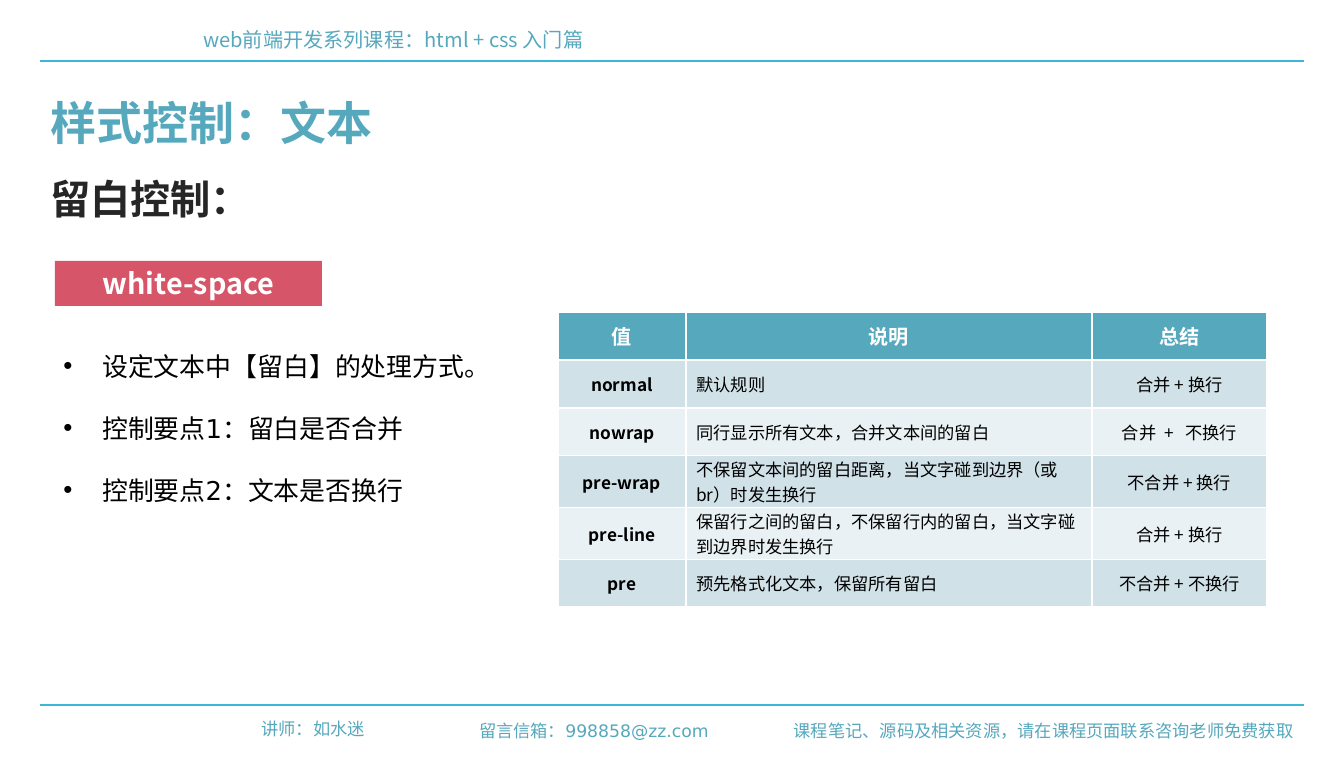
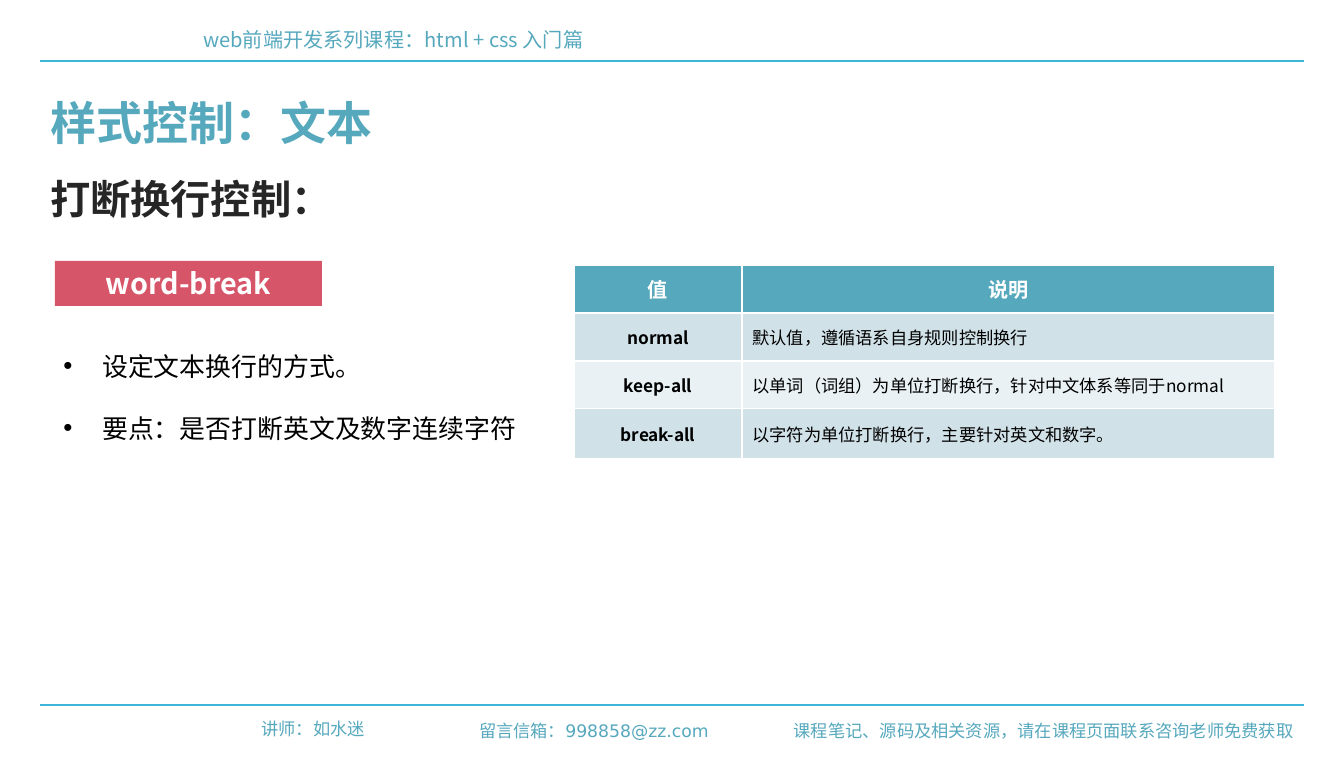
from pptx import Presentation
from pptx.dml.color import RGBColor
from pptx.enum.shapes import MSO_CONNECTOR, MSO_SHAPE
from pptx.enum.text import MSO_ANCHOR, MSO_AUTO_SIZE, PP_ALIGN
from pptx.oxml.ns import qn
from pptx.util import Pt
from lxml import etree

LEFT, CENTER, RIGHT = PP_ALIGN.LEFT, PP_ALIGN.CENTER, PP_ALIGN.RIGHT
TOP, MIDDLE = MSO_ANCHOR.TOP, MSO_ANCHOR.MIDDLE
STRAIGHT, RECTANGLE, NO_FIT = MSO_CONNECTOR.STRAIGHT, MSO_SHAPE.RECTANGLE, MSO_AUTO_SIZE.NONE

TEAL = RGBColor(0x56, 0xA8, 0xBD)
RULE = RGBColor(0x3C, 0xB7, 0xD7)
ROSE = RGBColor(0xD7, 0x55, 0x69)
DARK = RGBColor(0x26, 0x26, 0x26)
BLACK = RGBColor(0, 0, 0)
WHITE = RGBColor(0xFF, 0xFF, 0xFF)
BANDS = [RGBColor(0xE9, 0xF1, 0xF4), RGBColor(0xD1, 0xE1, 0xE8)]
NOTO, DEJAVU = "Noto Sans CJK SC", "DejaVu Sans"
SCALE = 914400 / 103.5


def px(*lengths):
    return [round(length * SCALE) for length in lengths]


def write(frame, text, font, size, color, bold=False, align=LEFT, anchor=TOP):
    frame.text = text
    frame.word_wrap = True
    frame.vertical_anchor = anchor
    for paragraph in frame.paragraphs:
        paragraph.alignment = align
        for run in paragraph.runs:
            run.font.name = font
            run.font.size = Pt(size)
            run.font.bold = bold
            run.font.color.rgb = color
            east_asian = etree.SubElement(run.font._element, qn("a:ea"))
            east_asian.set("typeface", font)


lessons = [
    {
        "topic": "留白控制：",
        "property": "white-space",
        "points": ["设定文本中【留白】的处理方式。", "控制要点1：留白是否合并", "控制要点2：文本是否换行"],
        "points_size": (774, 199),
        "table_at": (558, 312),
        "columns": [128, 406, 175],
        "heights": [48, 48, 48, 52, 52, 47],
        "rows": [
            ["值", "说明", "总结"],
            ["normal", "默认规则", "合并 + 换行"],
            ["nowrap", "同行显示所有文本，合并文本间的留白", "合并  +   不换行"],
            ["pre-wrap", "不保留文本间的留白距离，当文字碰到边界（或br）时发生换行", "不合并 + 换行"],
            ["pre-line", "保留行之间的留白，不保留行内的留白，当文字碰到边界时发生换行", "合并 + 换行"],
            ["pre", "预先格式化文本，保留所有留白", "不合并 + 不换行"],
        ],
    },
    {
        "topic": "打断换行控制：",
        "property": "word-break",
        "points": ["设定文本换行的方式。", "要点：是否打断英文及数字连续字符"],
        "points_size": (489, 136),
        "table_at": (574, 265),
        "columns": [168, 533],
        "heights": [48, 48, 48, 50],
        "rows": [
            ["值", "说明"],
            ["normal", "默认值，遵循语系自身规则控制换行"],
            ["keep-all", "以单词（词组）为单位打断换行，针对中文体系等同于normal"],
            ["break-all", "以字符为单位打断换行，主要针对英文和数字。"],
        ],
    },
]

prs = Presentation()
prs.slide_width, prs.slide_height = px(1344, 774)
layout = prs.slide_layouts[1]
slides = [prs.slides.add_slide(layout) for lesson in lessons]

shared = []
for rule_y in (61, 705):
    rule = slides[0].shapes.add_connector(STRAIGHT, *px(40, rule_y, 1304, rule_y))
    rule.line.color.rgb = RULE
    rule.line.width = Pt(0.75)
    etree.SubElement(rule.element.spPr, qn("a:effectLst"))
    shared.append(rule)
for text, box, font, size, align in [
    ("web前端开发系列课程：html + css 入门篇", (193, 22, 1088, 35), NOTO, 14, LEFT),
    ("讲师：如水迷", (232, 713, 143, 31), DEJAVU, 12, RIGHT),
    ("课程笔记、源码及相关资源，请在课程页面联系咨询老师免费获取", (778, 715, 526, 31), DEJAVU, 12, RIGHT),
    ("留言信箱：998858@zz.com", (444, 715, 275, 31), DEJAVU, 12, RIGHT),
]:
    label = slides[0].shapes.add_textbox(*px(*box))
    write(label.text_frame, text, font, size, TEAL, align=align)
    shared.append(label)
for number, item in enumerate(shared, 101):
    item.element.xpath(".//p:cNvPr")[0].set("id", str(number))
    layout.shapes.element.append(item.element)

for slide, lesson in zip(slides, lessons):
    title, points = slide.placeholders
    title.left, title.top, title.width, title.height = px(40, 89, 1263, 66)
    write(title.text_frame, "样式控制：文本", DEJAVU, 32, TEAL, bold=True)
    title.text_frame.auto_size = NO_FIT

    points.left, points.top, points.width, points.height = px(53, 314, *lesson["points_size"])
    write(points.text_frame, "\n".join(lesson["points"]), DEJAVU, 18, BLACK)
    points.text_frame.auto_size = NO_FIT
    for point in points.text_frame.paragraphs:
        point.line_spacing = 2.0
        point.space_before = Pt(0)

    topic = slide.shapes.add_textbox(*px(40, 169, 688, 59))
    write(topic.text_frame, lesson["topic"], NOTO, 28, DARK, bold=True)

    badge = slide.shapes.add_shape(RECTANGLE, *px(55, 261, 267, 45))
    badge.shadow.inherit = False
    badge.fill.solid()
    badge.fill.fore_color.rgb = ROSE
    badge.line.fill.background()
    write(badge.text_frame, lesson["property"], NOTO, 20, WHITE, True, CENTER, MIDDLE)

    columns, heights, rows = lesson["columns"], lesson["heights"], lesson["rows"]
    size = sum(columns), sum(heights)
    values = slide.shapes.add_table(len(rows), len(columns), *px(*lesson["table_at"], *size)).table
    for column, width in zip(values.columns, px(*columns)):
        column.width = width
    for row, height in zip(values.rows, px(*heights)):
        row.height = height
    for r, entries in enumerate(rows):
        for c, entry in enumerate(entries):
            cell = values.cell(r, c)
            cell.margin_top = cell.margin_bottom = 0
            cell.vertical_anchor = MIDDLE
            cell.fill.solid()
            cell.fill.fore_color.rgb = BANDS[r % 2] if r else TEAL
            write(cell.text_frame, entry, NOTO, 12 if r else 14, BLACK if r else WHITE,
                  bold=r == 0 or c == 0, align=LEFT if r and c == 1 else CENTER, anchor=MIDDLE)

prs.save("out.pptx")
